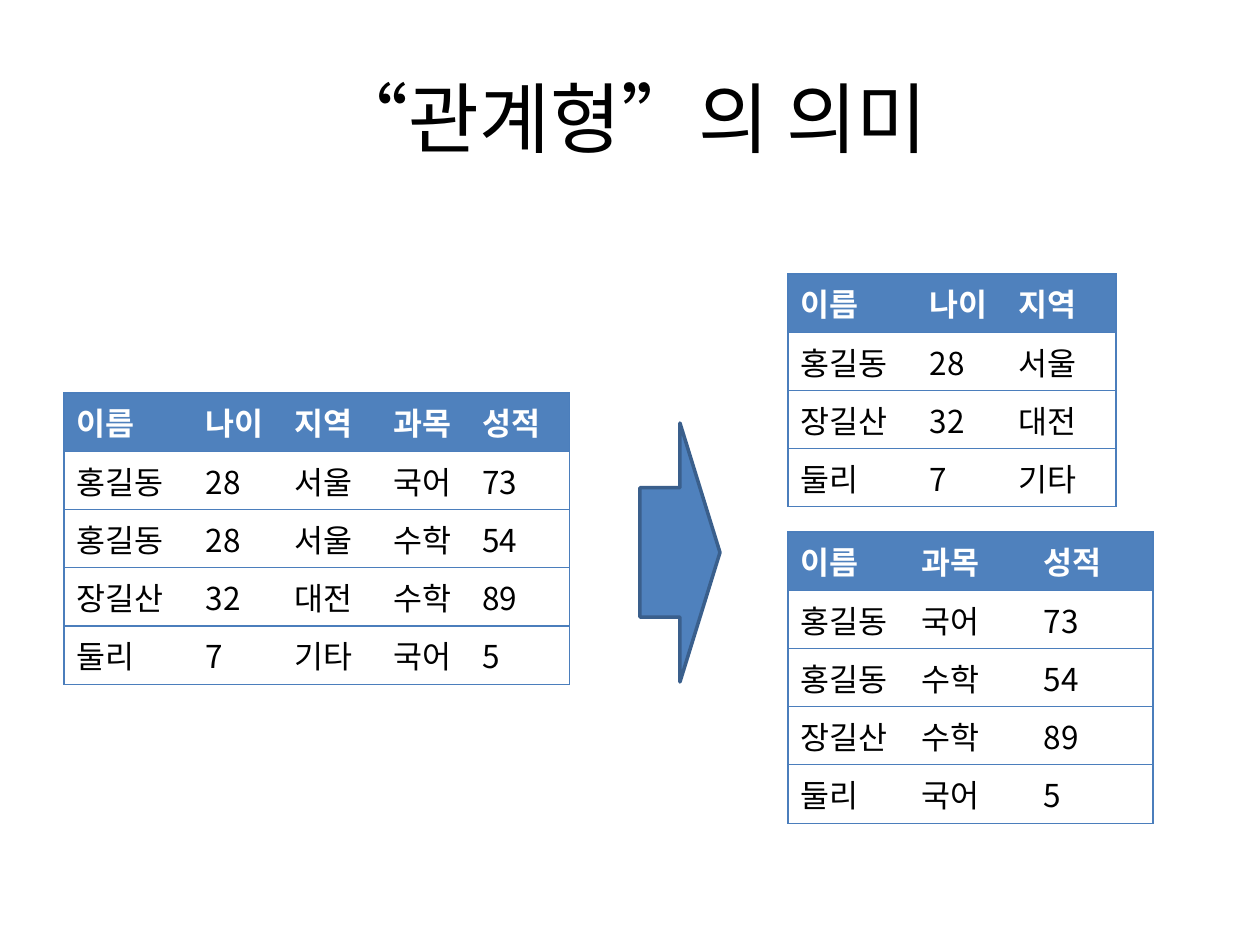
"""Build a slide that splits one flat table into two related tables."""
from lxml import etree
from pptx import Presentation
from pptx import util as u
from pptx.dml.color import RGBColor
from pptx.enum import shapes, text
from pptx.oxml import ns

PX = 914400 // 126
FONT = "Noto Sans CJK KR"
BLACK = RGBColor(0x00, 0x00, 0x00)
WHITE = RGBColor(0xFF, 0xFF, 0xFF)
BLUE = RGBColor(0x4F, 0x81, 0xBD)
RULE = RGBColor(0x4B, 0x7E, 0xBC)
EDGE = RGBColor(0x3A, 0x5F, 0x8C)
ROW = 50

SCORES = [
    ("이름", "나이", "지역", "과목", "성적"),
    ("홍길동", "28", "서울", "국어", "73"),
    ("홍길동", "28", "서울", "수학", "54"),
    ("장길산", "32", "대전", "수학", "89"),
    ("둘리", "7", "기타", "국어", "5"),
]


def pick(*cols):
    """Project the flat table onto some columns, without repeated rows."""
    return list(dict.fromkeys(tuple(row[c] for c in cols) for row in SCORES))


def write(frame, words, size=18, color=BLACK, bold=False, align=None):
    """Put formatted text into a text frame."""
    para = frame.paragraphs[0]
    para.alignment = align
    run = para.add_run()
    run.text = words
    font = run.font
    font.size, font.bold, font.name = u.Pt(size), bold, FONT
    font.color.rgb = color
    etree.SubElement(font._element, ns.qn("a:ea"), typeface=FONT)


def rule(cell, sides):
    """Draw the given sides of a cell and clear the others."""
    props = cell._tc.get_or_add_tcPr()
    for spot, side in enumerate("LRTB"):
        line = etree.Element(ns.qn("a:ln" + side), w=str(u.Pt(0.75)))
        if side in sides:
            fill = etree.SubElement(line, ns.qn("a:solidFill"))
            etree.SubElement(fill, ns.qn("a:srgbClr"), val=str(RULE))
        else:
            etree.SubElement(line, ns.qn("a:noFill"))
        props.insert(spot, line)


def add_grid(slide, left, top, widths, rows):
    """Add a table with a filled header and horizontal rules."""
    grid = slide.shapes.add_table(
        len(rows), len(widths), left * PX, top * PX,
        sum(widths) * PX, len(rows) * ROW * PX).table
    grid.horz_banding = False
    for col, width in zip(grid.columns, widths):
        col.width = width * PX
    for r, row in enumerate(rows):
        grid.rows[r].height = ROW * PX
        for c, words in enumerate(row):
            cell = grid.cell(r, c)
            head = r == 0
            if head:
                cell.fill.solid()
                cell.fill.fore_color.rgb = BLUE
            else:
                cell.fill.background()
            sides = "TB" + "L" * (c == 0) + "R" * (c == len(row) - 1)
            rule(cell, sides)
            write(cell.text_frame, words, color=WHITE if head else BLACK, bold=head)


def add_arrow(slide, left, top, width, height):
    """Add the block arrow between the tables."""
    arrow = slide.shapes.add_shape(
        shapes.MSO_SHAPE.RIGHT_ARROW, left * PX, top * PX, width * PX, height * PX)
    arrow.shadow.inherit = False
    arrow.fill.solid()
    arrow.fill.fore_color.rgb = BLUE
    arrow.line.color.rgb = EDGE
    arrow.line.width = u.Pt(2)


def add_title(slide, words):
    """Place and fill the title."""
    title = slide.shapes.title
    title.left, title.top, title.width, title.height = (
        n * PX for n in (63, 38, 1134, 158))
    title.text_frame.vertical_anchor = text.MSO_ANCHOR.MIDDLE
    write(title.text_frame, words, size=44, align=text.PP_ALIGN.CENTER)


def main():
    """Build and save the slide."""
    deck = Presentation()
    deck.slide_width, deck.slide_height = u.Inches(10), u.Inches(7.5)
    slide = deck.slides.add_slide(deck.slide_layouts[5])
    add_title(slide, "“관계형”의 의미")
    add_grid(slide, 64, 393, [129, 89, 99, 89, 100], SCORES)
    add_grid(slide, 788, 274, [129, 89, 110], pick(0, 1, 2))
    add_grid(slide, 788, 532, [121, 122, 122], pick(0, 3, 4))
    add_arrow(slide, 640, 423, 80, 259)
    deck.save("out.pptx")


if __name__ == "__main__":
    main()
